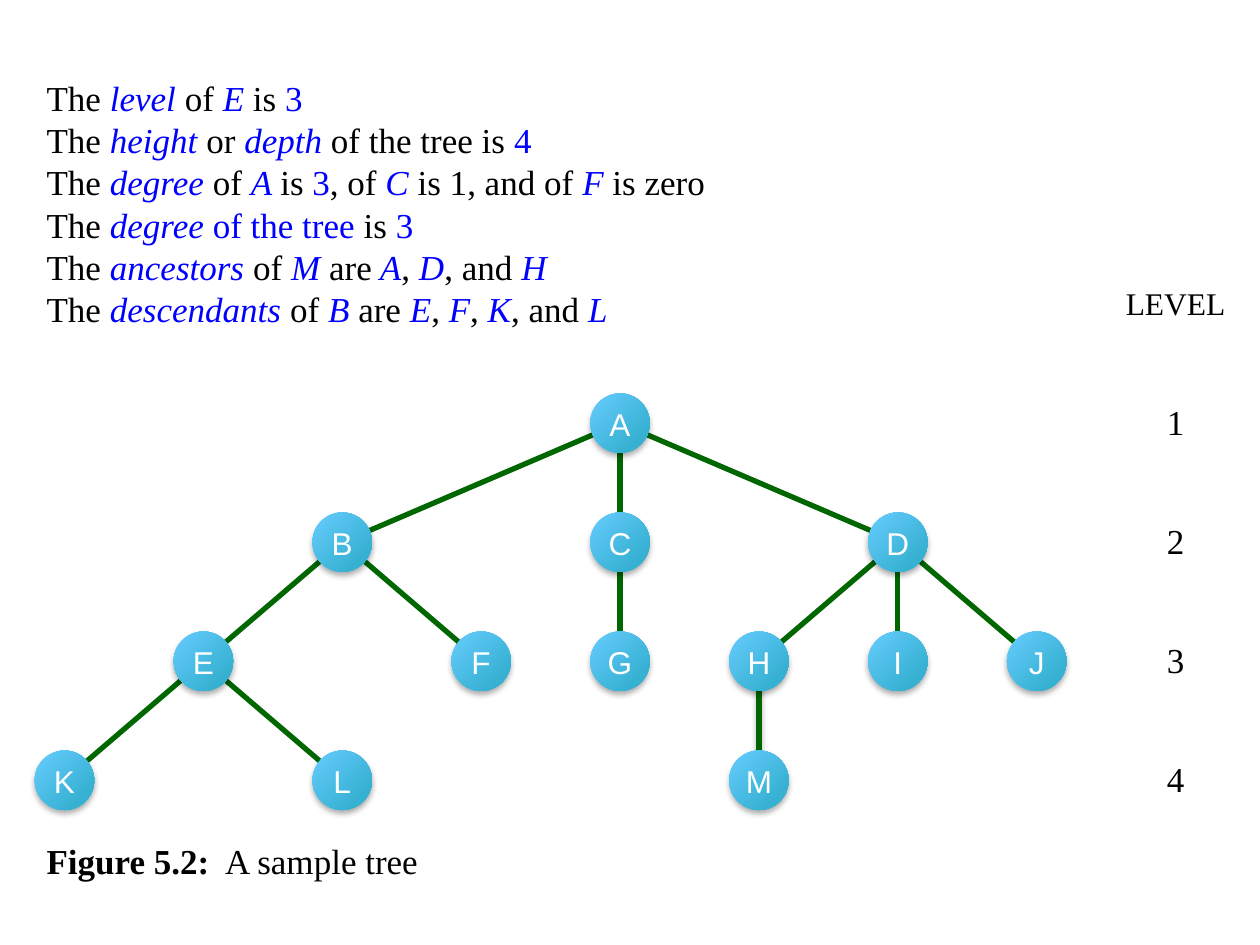
from lxml.etree import SubElement
from pptx import Presentation
from pptx.dml.color import RGBColor
from pptx.enum.shapes import MSO_CONNECTOR as Connector, MSO_SHAPE as Shape
from pptx.enum.text import MSO_ANCHOR as Anchor, PP_ALIGN as Align
from pptx.oxml import parse_xml
from pptx.oxml.ns import nsdecls, qn
from pptx.util import Cm, Pt

SERIF, SANS = "Times New Roman", "Arial"
BLACK, BLUE, WHITE, GREEN = "000000", "0000FF", "FFFFFF", "006600"
FACTS = [
    "The *level* of *E *is *~3",
    "The *height* or *depth *of the tree is *~4",
    "The *degree *of *A *is *~3*, of *C* is 1, and of *F* is zero",
    "The *degree **~of the tree *is *~3",
    "The *ancestors *of *M *are* A*, *D*, and *H",
    "The *descendants *of *B *are *E*, *F*, *K*, and *L",
]
CAPTION = [("Figure 5.2:", True), ("  A sample tree", False)]
LEVELS = [{"A": 4}, {"B": 2, "C": 4, "D": 6},
          {"E": 1, "F": 3, "G": 4, "H": 5, "I": 6, "J": 7},
          {"K": 0, "L": 2, "M": 5}]
CHILDREN = {"A": "BCD", "B": "EF", "C": "G", "D": "HIJ", "E": "KL", "H": "M"}
SHADOWED_EDGE = ("H", "M")
GRADIENT = [(0, "66CCFF"), (80, "37B1D2"), (100, "34B4D6")]
LEFT, TOP, COLUMN_STEP, ROW_STEP, DIAMETER = 1.3, 8.53, 2.8, 2.4, 1.2
LEVEL_COLUMN = 8


def color(value):
    return RGBColor.from_string(value)


def style(run, size, font, value, bold=False, italic=False):
    run.font.size, run.font.name = Pt(size), font
    run.font.bold, run.font.italic = bold, italic
    run.font.color.rgb = color(value)


def add_effects(shape, shadow):
    effects = SubElement(shape._element.spPr, qn("a:effectLst"))
    if shadow:
        effects.append(parse_xml(
            f'<a:outerShdw {nsdecls("a")} blurRad="{Pt(3.5)}" dist="{Pt(2.2)}" dir="5400000" '
            'rotWithShape="0"><a:srgbClr val="000000"><a:alpha val="32000"/></a:srgbClr></a:outerShdw>'))


def center(column, row):
    return LEFT + column * COLUMN_STEP, TOP + row * ROW_STEP


def add_text_box(left, top, width, height):
    box = slide.shapes.add_textbox(Cm(left), Cm(top), Cm(width), Cm(height))
    box.text_frame.word_wrap = True
    return box.text_frame


def add_circle(text, column, row, size, font, value):
    x, y = center(column, row)
    circle = slide.shapes.add_shape(Shape.OVAL, Cm(x - DIAMETER / 2), Cm(y - DIAMETER / 2),
                                    Cm(DIAMETER), Cm(DIAMETER))
    circle.line.fill.background()
    frame = circle.text_frame
    frame.text = text
    frame.word_wrap = False
    frame.vertical_anchor = Anchor.BOTTOM
    frame.margin_left = frame.margin_right = Cm(0.25)
    frame.margin_top, frame.margin_bottom = 0, Cm(0.03)
    paragraph = frame.paragraphs[0]
    paragraph.alignment = Align.CENTER
    style(paragraph.runs[0], size, font, value)
    return circle


def add_node(name, column, row):
    node = add_circle(name, column, row, 18, SANS, WHITE)
    stops = "".join(f'<a:gs pos="{position * 1000}"><a:srgbClr val="{value}"/></a:gs>'
                    for position, value in GRADIENT)
    node._element.spPr.find(qn("a:ln")).addprevious(parse_xml(
        f'<a:gradFill {nsdecls("a")} rotWithShape="1"><a:gsLst>{stops}</a:gsLst>'
        '<a:lin ang="2700000" scaled="0"/></a:gradFill>'))
    add_effects(node, True)


def add_level(number, row):
    level = add_circle(str(number), LEVEL_COLUMN, row, 20, SERIF, BLACK)
    level.fill.solid()
    level.fill.fore_color.rgb = color(WHITE)
    level.shadow.inherit = False


def add_edge(parent, child):
    ends = [Cm(value) for name in (parent, child) for value in center(*places[name])]
    edge = slide.shapes.add_connector(Connector.STRAIGHT, *ends)
    edge.line.color.rgb = color(GREEN)
    edge.line.width = Pt(3)
    add_effects(edge, (parent, child) == SHADOWED_EDGE)


def add_facts():
    frame = add_text_box(0.69, 1.58, 14, 5.2)
    for index, fact in enumerate(FACTS):
        paragraph = frame.paragraphs[0] if index == 0 else frame.add_paragraph()
        paragraph.line_spacing = 0.8
        paragraph.space_before = Pt(4.9 if index else 0)
        for position, piece in enumerate(fact.split("*")):
            if piece:
                marked = position % 2 == 1
                run = paragraph.add_run()
                run.text = piece.lstrip("~")
                style(run, 20, SERIF, BLUE if marked else BLACK,
                      italic=marked and not piece.startswith("~"))


def add_caption():
    paragraph = add_text_box(0.69, 16.8, 8.4, 1.2).paragraphs[0]
    for text, bold in CAPTION:
        run = paragraph.add_run()
        run.text = text
        style(run, 20, SERIF, BLACK, bold)


def add_level_heading():
    frame = add_text_box(22.3, 5.51, 2.8, 1.2)
    frame.word_wrap = False
    frame.vertical_anchor = Anchor.MIDDLE
    frame.margin_left = frame.margin_right = Cm(0.1)
    frame.text = "LEVEL"
    frame.paragraphs[0].alignment = Align.CENTER
    style(frame.paragraphs[0].runs[0], 18, SERIF, BLACK)


def main():
    """Build the slide with a sample tree, its levels and its terms."""
    for row in range(len(LEVELS)):
        add_level(row + 1, row)
    add_level_heading()
    add_facts()
    add_caption()
    for parent, children in CHILDREN.items():
        for child in children:
            add_edge(parent, child)
    for name, place in places.items():
        add_node(name, *place)


presentation = Presentation()
presentation.slide_width, presentation.slide_height = Cm(25.4), Cm(19.05)
slide = presentation.slides.add_slide(presentation.slide_layouts[6])
places = {name: (column, row) for row, level in enumerate(LEVELS) for name, column in level.items()}
main()
presentation.save("out.pptx")
